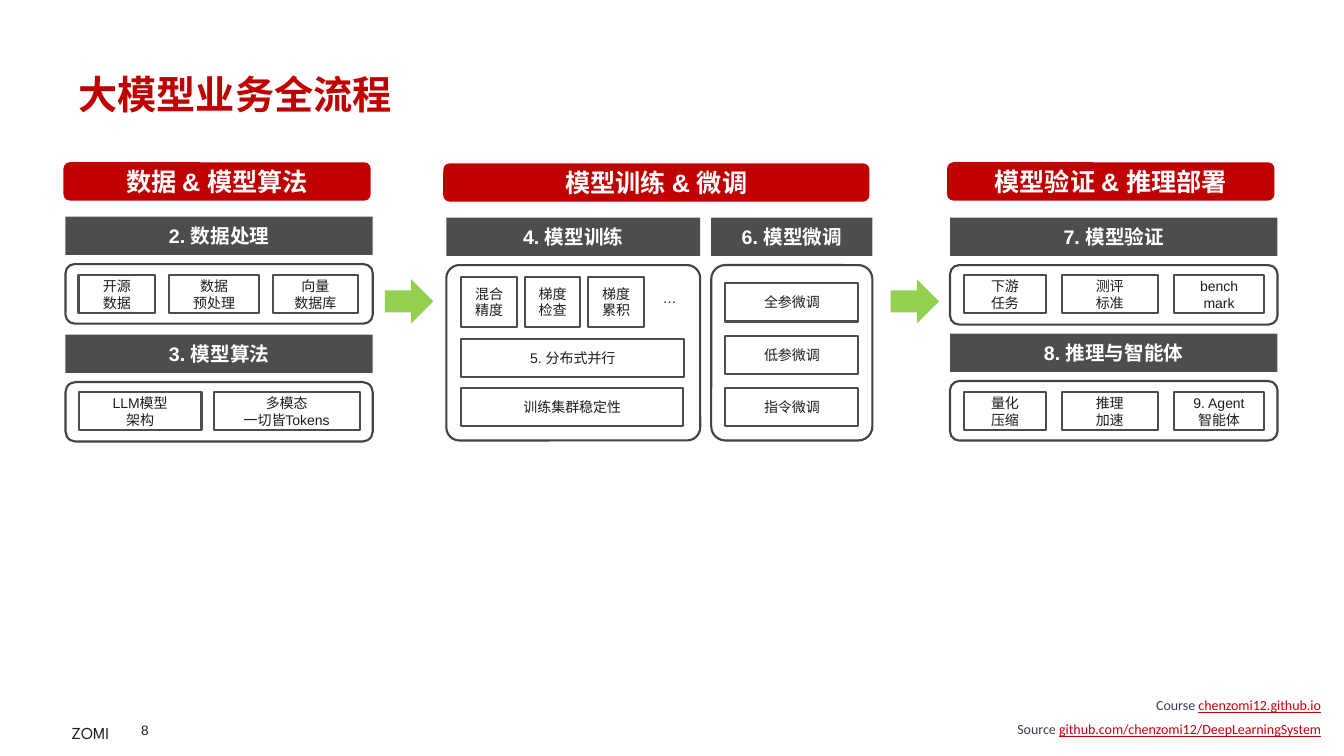
from dataclasses import dataclass

from pptx import Presentation
from pptx.dml.color import RGBColor
from pptx.enum.shapes import MSO_SHAPE
from pptx.enum.text import MSO_ANCHOR, PP_ALIGN
from pptx.shapes.autoshape import Shape
from pptx.slide import Slide
from pptx.text.text import TextFrame
from pptx.util import Inches, Pt

RED, GREY, OUTLINE, GREEN = "C00000", "4D4D4D", "424242", "92D050"
WHITE, INK, SLATE, LINK = "FFFFFF", "1D1D1A", "374154", "C7000B"
BAR_H, PANEL_DROP = 0.38, 0.47


@dataclass
class Tile:
    left: float
    top: float
    width: float
    height: float
    text: str


@dataclass
class Banner:
    left: float
    top: float
    width: float
    text: str


@dataclass
class Section:
    left: float
    top: float
    width: float
    panel_height: float
    corner: float
    heading: str
    tiles: list[Tile]


@dataclass
class Run:
    text: str
    size: float
    color: str
    font: str = "Arial"
    bold: bool = False
    underline: bool = False


@dataclass
class Note:
    left: float
    top: float
    width: float
    height: float
    runs: list[Run]
    align: PP_ALIGN = PP_ALIGN.LEFT
    spacing: float = 1.0
    margin_x: float = 0.1
    margin_y: float = 0.05
    anchor: MSO_ANCHOR = MSO_ANCHOR.TOP


def row(left: float, top: float, height: float, gap: float,
        cells: list[tuple[float, str]]) -> list[Tile]:
    tiles = []
    for width, text in cells:
        tiles.append(Tile(left, top, width, height, text))
        left += width + gap
    return tiles


BANNERS = [
    Banner(0.63, 1.61, 3.05, "数据 & 模型算法"),
    Banner(4.4, 1.62, 4.23, "模型训练 & 微调"),
    Banner(9.4, 1.61, 3.25, "模型验证 & 推理部署"),
]

SECTIONS = [
    Section(0.65, 2.15, 3.05, 0.59, 0.09, "2. 数据处理", row(
        0.78, 2.73, 0.38, 0.14,
        [(0.76, "开源\n数据"), (0.89, "数据\n预处理"), (0.84, "向量\n数据库")])),
    Section(0.65, 3.32, 3.05, 0.59, 0.1, "3. 模型算法", row(
        0.78, 3.89, 0.38, 0.12,
        [(1.22, "LLM模型\n架构"), (1.45, "多模态\n一切皆Tokens")])),
    Section(4.43, 2.16, 2.52, 1.74, 0.13, "4. 模型训练", row(
        4.58, 2.75, 0.49, 0.08,
        [(0.55, "混合精度"), (0.55, "梯度检查"), (0.55, "梯度累积")]) + [
            Tile(4.58, 3.36, 2.21, 0.38, "5. 分布式并行"),
            Tile(4.58, 3.85, 2.2, 0.38, "训练集群稳定性")]),
    Section(7.06, 2.16, 1.6, 1.74, 0.14, "6. 模型微调", [
        Tile(7.2, 2.81 + 0.52 * i, 1.32, 0.38, text)
        for i, text in enumerate(["全参微调", "低参微调", "指令微调"])]),
    Section(9.43, 2.16, 3.25, 0.59, 0.09, "7. 模型验证", row(
        9.57, 2.73, 0.38, 0.16,
        [(0.81, "下游\n任务"), (0.95, "测评\n标准"), (0.9, "bench\nmark")])),
    Section(9.43, 3.31, 3.25, 0.59, 0.09, "8. 推理与智能体", row(
        9.57, 3.89, 0.38, 0.16,
        [(0.81, "量化\n压缩"), (0.95, "推理\n加速"), (0.9, "9. Agent\n智能体")])),
]

NOTES = [
    Note(0.61, 7.08, 0.8, 0.32, [Run("ZOMI", 12, INK, "League Spartan")],
         spacing=1.2),
    Note(1.4, 7.16, 0.55, 0.16, [Run("8", 9.7, "1D1D1B")],
         margin_x=0, margin_y=0),
    Note(9.27, 6.85, 3.94, 0.29,
         [Run("Course ", 10, SLATE, "Calibri"),
          Run("chenzomi12.github.io", 10, LINK, "Calibri", underline=True)],
         PP_ALIGN.RIGHT, anchor=MSO_ANCHOR.MIDDLE),
    Note(9.27, 7.07, 3.94, 0.29,
         [Run("Source ", 10, SLATE, "Calibri"),
          Run("github.com/chenzomi12/DeepLearningSystem", 10, LINK, "Calibri",
              underline=True)],
         PP_ALIGN.RIGHT, spacing=1.2),
    Note(6.45, 2.82, 0.39, 0.27, [Run("…", 10, INK)], PP_ALIGN.CENTER),
]

ARROW_LEFTS = [3.82, 8.84]


def rgb(value: str) -> RGBColor:
    return RGBColor.from_string(value)


def add_run(p, run: Run) -> None:
    r = p.add_run()
    r.text = run.text
    r.font.name = run.font
    r.font.size = Pt(run.size)
    r.font.bold = run.bold
    r.font.underline = run.underline
    r.font.color.rgb = rgb(run.color)


def write_centred(tf: TextFrame, text: str, size: float, color: str,
                  bold: bool = False) -> None:
    tf.word_wrap = True
    tf.vertical_anchor = MSO_ANCHOR.MIDDLE
    for i, line in enumerate(text.split("\n")):
        p = tf.paragraphs[0] if i == 0 else tf.add_paragraph()
        p.alignment = PP_ALIGN.CENTER
        add_run(p, Run(line, size, color, bold=bold))


def add_box(s: Slide, kind: MSO_SHAPE, left: float, top: float, width: float,
            height: float, fill: str | None = None,
            line: str | None = None) -> Shape:
    sp = s.shapes.add_shape(kind, Inches(left), Inches(top), Inches(width),
                            Inches(height))
    sp.shadow.inherit = False
    if fill:
        sp.fill.solid()
        sp.fill.fore_color.rgb = rgb(fill)
    else:
        sp.fill.background()
    if line:
        sp.line.color.rgb = rgb(line)
        sp.line.width = Pt(1.5)
    else:
        sp.line.fill.background()
    return sp


def add_banner(s: Slide, b: Banner) -> None:
    sp = add_box(s, MSO_SHAPE.ROUNDED_RECTANGLE, b.left, b.top, b.width, BAR_H, RED)
    write_centred(sp.text_frame, b.text, 18, WHITE, bold=True)


def add_section(s: Slide, c: Section) -> None:
    bar = add_box(s, MSO_SHAPE.RECTANGLE, c.left, c.top, c.width, BAR_H, GREY)
    write_centred(bar.text_frame, c.heading, 14, WHITE, bold=True)
    panel = add_box(s, MSO_SHAPE.ROUNDED_RECTANGLE, c.left, c.top + PANEL_DROP,
                    c.width, c.panel_height, line=OUTLINE)
    panel.adjustments[0] = c.corner / min(c.width, c.panel_height)
    for t in c.tiles:
        sp = add_box(s, MSO_SHAPE.RECTANGLE, t.left, t.top, t.width, t.height,
                     line=GREY)
        write_centred(sp.text_frame, t.text, 10, INK)


def add_note(s: Slide, n: Note) -> None:
    sp = s.shapes.add_textbox(Inches(n.left), Inches(n.top), Inches(n.width),
                              Inches(n.height))
    tf = sp.text_frame
    tf.word_wrap = True
    tf.vertical_anchor = n.anchor
    tf.margin_left = tf.margin_right = Inches(n.margin_x)
    tf.margin_top = tf.margin_bottom = Inches(n.margin_y)
    p = tf.paragraphs[0]
    p.alignment = n.align
    p.line_spacing = n.spacing
    for run in n.runs:
        add_run(p, run)


def set_title(s: Slide, text: str) -> None:
    sp = s.shapes.title
    sp.left, sp.top = Inches(0.68), Inches(0.61)
    sp.width, sp.height = Inches(11.99), Inches(0.64)
    tf = sp.text_frame
    tf.word_wrap = True
    tf.vertical_anchor = MSO_ANCHOR.MIDDLE
    p = tf.paragraphs[0]
    p.alignment = PP_ALIGN.LEFT
    p.line_spacing = Pt(34.4)
    add_run(p, Run(text, 28, RED, "League Spartan", bold=True))


def main() -> None:
    """Build the large-model workflow slide."""
    prs = Presentation()
    prs.slide_width, prs.slide_height = Inches(13.34), Inches(7.5)
    s = prs.slides.add_slide(prs.slide_layouts[5])
    set_title(s, "大模型业务全流程")
    for banner in BANNERS:
        add_banner(s, banner)
    for section in SECTIONS:
        add_section(s, section)
    for left in ARROW_LEFTS:
        add_box(s, MSO_SHAPE.RIGHT_ARROW, left, 2.77, 0.48, 0.44, GREEN)
    for note in NOTES:
        add_note(s, note)
    prs.save("out.pptx")


if __name__ == "__main__":
    main()
